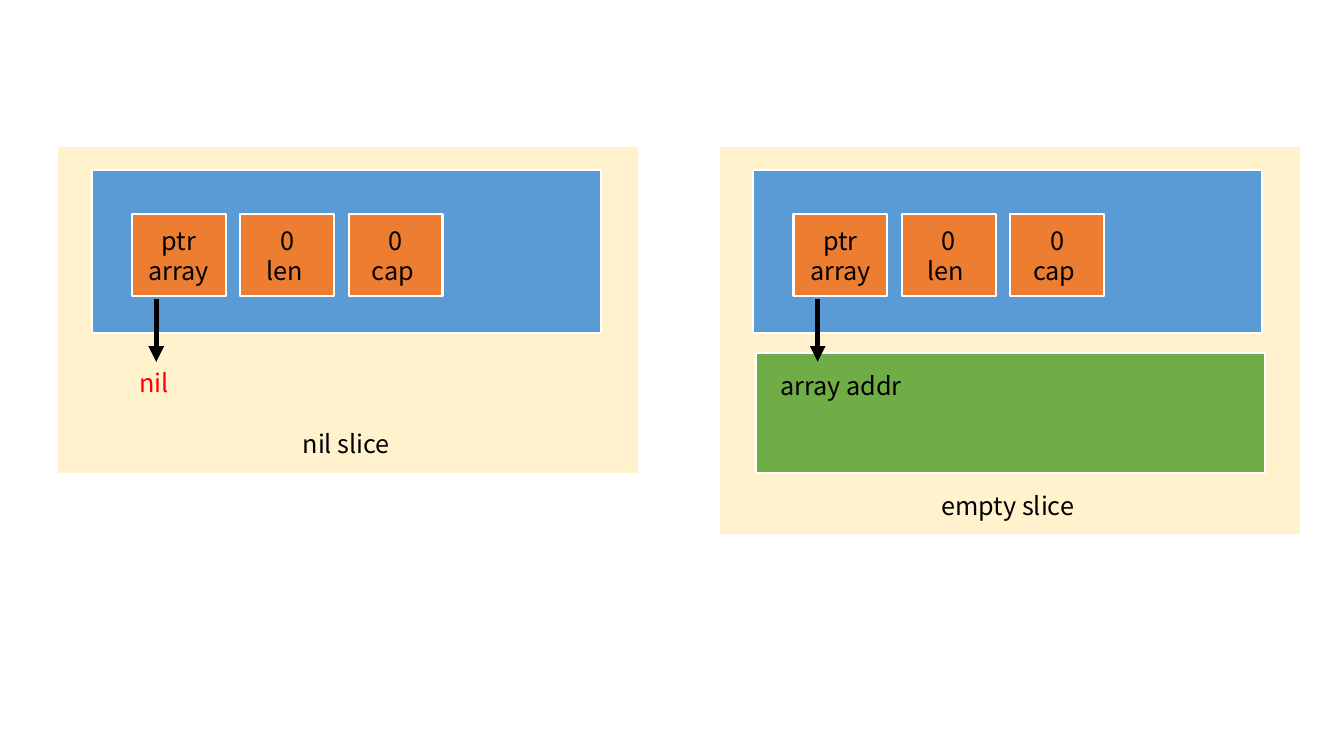
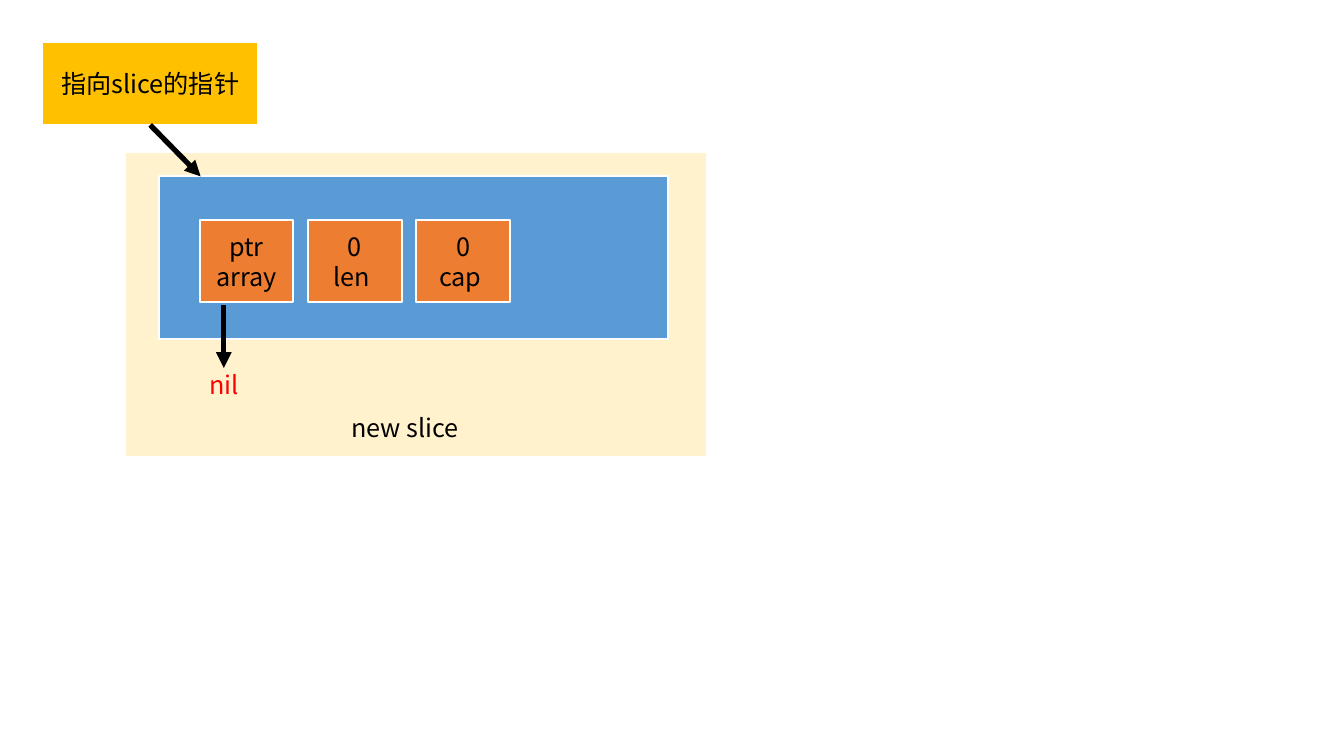
import pptx
import pptx.util
import pptx.dml.color
import pptx.enum.shapes
import pptx.enum.text
import pptx.oxml.ns
import lxml.etree

HUES = {
    "panel": "FFF2CC", "head": "5B9BD5", "cell": "ED7D31", "store": "70AD47",
    "note": "FFC000", "edge": "FFFFFF", "ink": "000000", "nil": "FF0000",
}
FACE = "Noto Sans CJK SC"
CELLS = ["ptr\narray", "0\nlen ", "0\ncap "]

SLIDES = [
    {"panels": [
        {"at": (0.57, 1.45), "tall": 3.25, "name": "nil slice", "inset": 0.34,
         "goal": ("nil ", "nil", 0.21, 2.04, 1.55)},
        {"at": (7.13, 1.45), "tall": 3.86, "name": "empty slice", "inset": 0.34,
         "goal": ("array addr", "ink", 0.42, 2.07, 1.58),
         "store": (0.37, 2.05, 5.05, 1.19)},
    ]},
    {"panels": [
        {"at": (1.24, 1.51), "tall": 3.03, "name": "new slice", "inset": 0.25,
         "goal": ("nil ", "nil", 0.25, 2.0, 1.52)},
    ],
     "note": ("指向slice的指针", (0.42, 0.42, 2.14, 0.82)),
     "link": (1.49, 1.24, 1.99, 1.75)},
]

WIDE = 5.77
HEAD = (0.34, 0.24, 5.05, 1.61)
CELL = (0.74, 0.67, 0.93, 0.82)
STEP = 1.075
ARROW = (0.98, 1.52, 0.98, 2.14)
LABEL = 0.6

FRAME = {"word_wrap": True, "vertical_anchor": pptx.enum.text.MSO_ANCHOR.MIDDLE}
FONT = {"size": pptx.util.Pt(18), "name": FACE}


def tint(hue):
    return pptx.dml.color.RGBColor.from_string(HUES[hue])


def apply(part, form):
    for key, val in form.items():
        setattr(part, key, val)


def inches(nums):
    return [pptx.util.Inches(num) for num in nums]


def shift(at, box):
    return (at[0] + box[0], at[1] + box[1], *box[2:])


def write(shape, text, hue="ink"):
    frame = shape.text_frame
    apply(frame, FRAME)
    for num, line in enumerate(text.split("\n")):
        para = frame.add_paragraph() if num else frame.paragraphs[0]
        para.alignment = pptx.enum.text.PP_ALIGN.CENTER
        run = para.add_run()
        run.text = line
        apply(run.font, FONT)
        run.font.color.rgb = tint(hue)
        east = lxml.etree.SubElement(run.font._element, pptx.oxml.ns.qn("a:ea"))
        east.set("typeface", FACE)


def block(slide, box, hue, text=None):
    kind = pptx.enum.shapes.MSO_SHAPE.RECTANGLE
    shape = slide.shapes.add_shape(kind, *inches(box))
    shape.shadow.inherit = False
    shape.fill.solid()
    shape.fill.fore_color.rgb = tint(hue)
    shape.line.color.rgb = tint("edge")
    shape.line.width = pptx.util.Pt(1.5)
    if text:
        write(shape, text)


def label(slide, box, text, hue="ink"):
    write(slide.shapes.add_textbox(*inches(box)), text, hue)


def arrow(slide, ends):
    kind = pptx.enum.shapes.MSO_CONNECTOR.STRAIGHT
    link = slide.shapes.add_connector(kind, *inches(ends))
    link.line.color.rgb = tint("ink")
    link.line.width = pptx.util.Pt(3.75)
    props = link._element.spPr
    qn = pptx.oxml.ns.qn
    lxml.etree.SubElement(props.find(qn("a:ln")), qn("a:tailEnd"), type="triangle")
    lxml.etree.SubElement(props, qn("a:effectLst"))


def panel(slide, data):
    at, tall = data["at"], data["tall"]
    block(slide, (*at, WIDE, tall), "panel")
    block(slide, shift(at, HEAD), "head")
    left, top, wide, high = shift(at, CELL)
    for num, text in enumerate(CELLS):
        block(slide, (left + num * STEP, top, wide, high), "cell", text)
    if "store" in data:
        block(slide, shift(at, data["store"]), "store")
    base = (data["inset"], tall - LABEL, HEAD[2], LABEL)
    label(slide, shift(at, base), data["name"])
    text, hue, *spot = data["goal"]
    label(slide, shift(at, (*spot, LABEL)), text, hue)
    arrow(slide, shift(at, ARROW[:2]) + shift(at, ARROW[2:]))


def main():
    deck = pptx.Presentation()
    apply(deck, {"slide_width": pptx.util.Inches(13.33),
                 "slide_height": pptx.util.Inches(7.5)})
    for page in SLIDES:
        slide = deck.slides.add_slide(deck.slide_layouts[6])
        for data in page["panels"]:
            panel(slide, data)
        if "note" in page:
            text, box = page["note"]
            block(slide, box, "note", text)
            arrow(slide, page["link"])
    deck.save("out.pptx")


if __name__ == "__main__":
    main()
